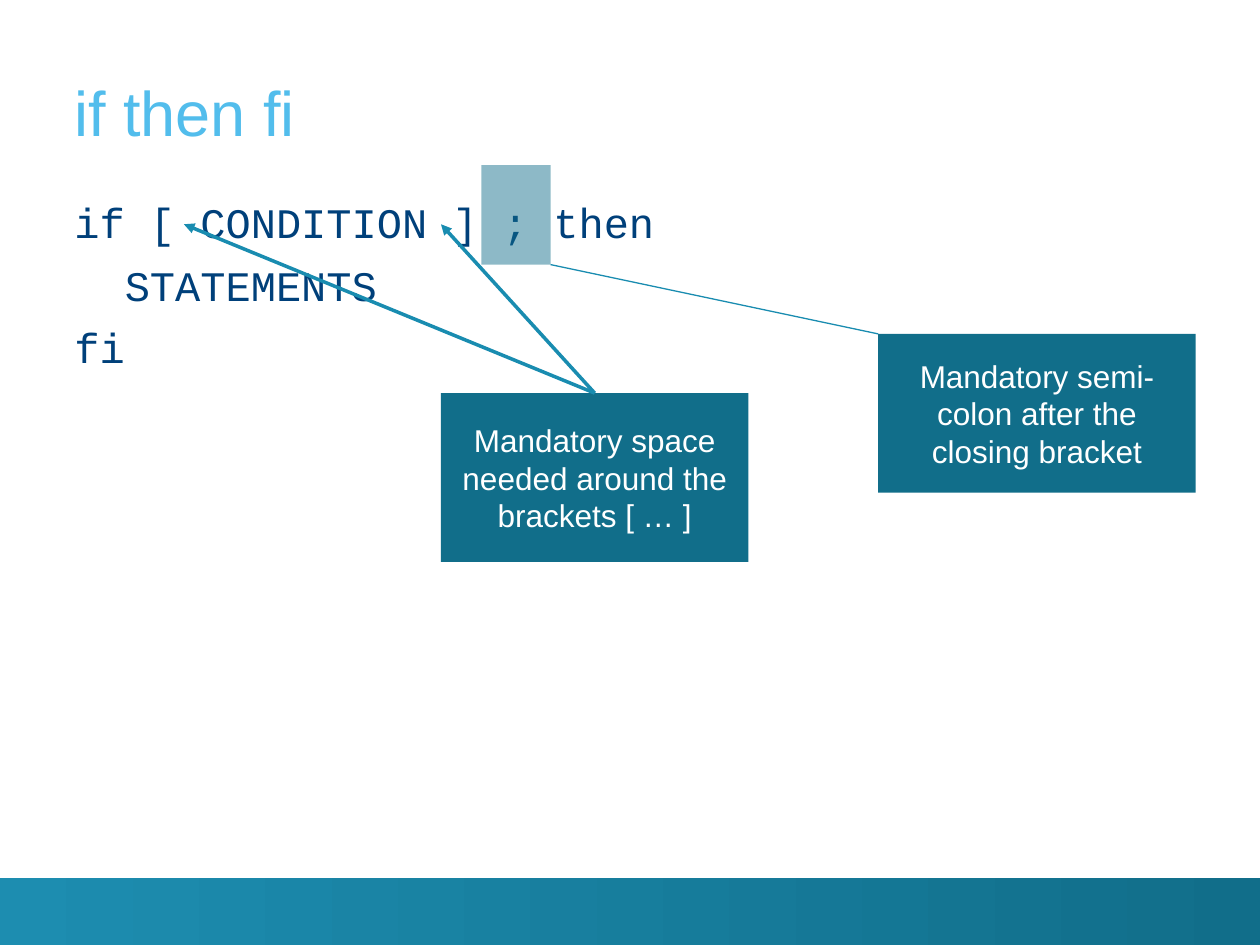
from dataclasses import dataclass

from lxml.etree import SubElement
from pptx import Presentation
from pptx.dml.color import RGBColor
from pptx.enum.shapes import MSO_CONNECTOR, MSO_SHAPE
from pptx.enum.text import MSO_ANCHOR, PP_ALIGN
from pptx.oxml.ns import qn
from pptx.slide import Slide
from pptx.util import Inches, Pt

WHITE = RGBColor(0xFF, 0xFF, 0xFF)
SKY = RGBColor(0x52, 0xBD, 0xEC)
NAVY = RGBColor(0x00, 0x40, 0x7A)
TEAL = RGBColor(0x11, 0x6E, 0x8A)
BRIGHT_TEAL = RGBColor(0x1D, 0x8D, 0xB0)
LINE_TEAL = RGBColor(0x19, 0x8C, 0xB0)


@dataclass
class Painter:
    page: Slide
    body_font: str = "Arial"
    code_font: str = "Courier New"

    def fill_text(self, frame, lines, size, color, font, align=PP_ALIGN.LEFT, gap=0):
        frame.word_wrap = True
        for index, line in enumerate(lines):
            para = frame.add_paragraph() if index else frame.paragraphs[0]
            para.text = line
            para.alignment = align
            para.space_before = Pt(gap if index else 0)
            para.font.size = Pt(size)
            para.font.name = font
            para.font.color.rgb = color

    def text(self, area, lines, size, color, font, anchor=MSO_ANCHOR.TOP, top=0, gap=0):
        frame = self.page.shapes.add_textbox(*map(Inches, area)).text_frame
        frame.margin_left = frame.margin_right = frame.margin_bottom = 0
        frame.margin_top = Inches(top)
        frame.vertical_anchor = anchor
        self.fill_text(frame, lines, size, color, font, gap=gap)

    def box(self, area):
        box = self.page.shapes.add_shape(MSO_SHAPE.RECTANGLE, *map(Inches, area))
        box.shadow.inherit = False
        box.line.fill.background()
        box.fill.solid()
        box.fill.fore_color.rgb = TEAL
        return box

    def footer(self, area):
        fill = self.box(area).fill
        fill.gradient()
        fill.gradient_angle = 0
        for stop, color in zip(fill.gradient_stops, (BRIGHT_TEAL, TEAL)):
            stop.color.rgb = color

    def note(self, area, message):
        box = self.box(area)
        box.text_frame.vertical_anchor = MSO_ANCHOR.MIDDLE
        self.fill_text(box.text_frame, [message], 18, WHITE, self.body_font,
                       PP_ALIGN.CENTER)
        return box

    def highlight(self, area, opacity):
        box = self.box(area)
        color = box._element.spPr.find(qn("a:solidFill"))[0]
        SubElement(color, qn("a:alpha")).set("val", str(opacity * 1000))

    def line(self, start, end, width):
        line = self.page.shapes.add_connector(
            MSO_CONNECTOR.STRAIGHT, *map(Inches, start + end))
        line.line.color.rgb = LINE_TEAL
        line.line.width = Pt(width)
        SubElement(line._element.spPr, qn("a:effectLst"))
        return line

    def arrow(self, box, start, end):
        arrow = self.line(start, end, 2)
        arrow.begin_connect(box, 0)
        outline = arrow._element.spPr.find(qn("a:ln"))
        SubElement(outline, qn("a:tailEnd")).set("type", "triangle")


def main():
    deck = Presentation()
    deck.slide_width, deck.slide_height = Inches(10), Inches(7.5)
    painter = Painter(deck.slides.add_slide(deck.slide_layouts[6]))

    painter.footer((0, 6.97, 10, 0.53))
    painter.text((0.59, 0.2, 9.11, 0.98), ["if then fi"], 36, SKY,
                 painter.body_font, anchor=MSO_ANCHOR.BOTTOM)
    painter.text((0.59, 1.48, 9.11, 4.84),
                 ["if [ CONDITION ] ; then", "  STATEMENTS", "fi"],
                 24, NAVY, painter.code_font, top=0.08, gap=7)

    space_note = painter.note((3.5, 3.12, 2.44, 1.34),
                              "Mandatory space needed around the brackets [ … ]")
    for target_x in (3.5, 1.46):
        painter.arrow(space_note, (4.72, 3.12), (target_x, 1.78))

    painter.note((6.97, 2.65, 2.52, 1.26),
                 "Mandatory semi-colon after the closing bracket")
    painter.highlight((3.82, 1.31, 0.55, 0.79), 48)
    painter.line((4.37, 2.1), (6.97, 2.65), 0.75)

    deck.save("out.pptx")


if __name__ == "__main__":
    main()
